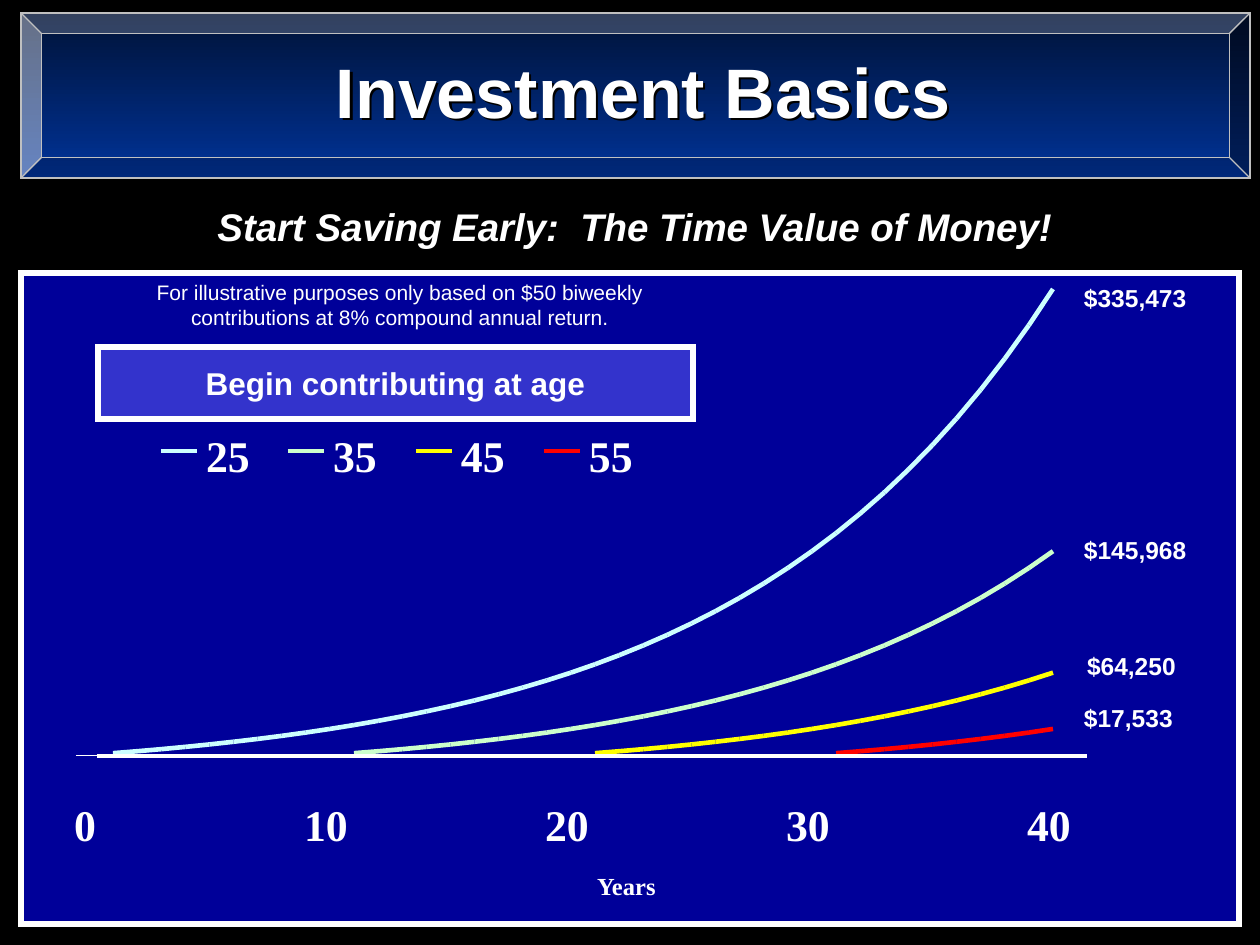
from collections import namedtuple

from lxml import etree
from pptx import Presentation
from pptx.dml.color import RGBColor
from pptx.enum.shapes import MSO_CONNECTOR as Connector, MSO_SHAPE as Shape
from pptx.enum.text import MSO_ANCHOR as Anchor, PP_ALIGN as Align
from pptx.oxml.ns import qn
from pptx.util import Pt

Box = namedtuple("Box", "left top width height")

EMU_PER_PX = 914400 / 126
SANS, SERIF = "Arial", "Times New Roman"
COLORS = {
    "background": "000000", "white": "FFFFFF", "panel": "000099",
    "legend": "3333CC", "banner_top": "001236", "banner_bottom": "003399",
    "banner_edge": "C0C0C0",
    "25": "CCFFFF", "35": "CCFFCC", "45": "FFFF00", "55": "FF0000",
}
AGES = ["25", "35", "45", "55"]
LAST_YEAR = 40
YEARLY_SAVING, RETURN = 50 * 26, 0.08


def px(length):
    return round(length * EMU_PER_PX)


def rgb(name):
    return RGBColor.from_string(COLORS[name])


def add_box(slide, kind, box, fill, line, line_width):
    shape = slide.shapes.add_shape(kind, *map(px, box))
    shape.shadow.inherit = False
    if fill:
        shape.fill.solid()
        shape.fill.fore_color.rgb = rgb(fill)
    shape.line.color.rgb = rgb(line)
    shape.line.width = Pt(line_width)
    # Square corners
    etree.SubElement(shape.line._get_or_add_ln(), qn("a:miter"), lim="800000")
    return shape


def write(shape, text, size, font=SANS, bold=True, italic=False,
          align=Align.CENTER, anchor=Anchor.MIDDLE, inset=True, wrap=True):
    frame = shape.text_frame
    frame.word_wrap = wrap
    frame.vertical_anchor = anchor
    if not inset:
        frame.margin_left = frame.margin_right = 0
        frame.margin_top = frame.margin_bottom = 0
    paragraph = frame.paragraphs[0]
    paragraph.text = text
    paragraph.alignment = align
    paragraph.font.name = font
    paragraph.font.size = Pt(size)
    paragraph.font.bold = bold
    paragraph.font.italic = italic
    paragraph.font.color.rgb = rgb("white")


def add_text(slide, box, text, size, **style):
    textbox = slide.shapes.add_textbox(*map(px, box))
    write(textbox, text, size, **style)
    return textbox


def add_label(slide, box, text, size, font=SANS, align=Align.LEFT):
    add_text(slide, box, text, size, font=font, align=align,
             anchor=Anchor.TOP, inset=False, wrap=False)


def add_line(slide, start, end, color, width):
    line = slide.shapes.add_connector(
        Connector.STRAIGHT, *map(px, (*start, *end)))
    line.line.color.rgb = rgb(color)
    line.line.width = Pt(width)
    etree.SubElement(line._element.spPr, qn("a:effectLst"))


def add_text_shadow(textbox):
    """An unfilled box casts the shadow of its text."""
    effects = etree.SubElement(textbox._element.spPr, qn("a:effectLst"))
    shadow = etree.SubElement(effects, qn("a:outerShdw"),
                              dist=str(px(3)), dir="2700000")
    etree.SubElement(shadow, qn("a:srgbClr"), val=COLORS["background"])


def add_banner(slide, box):
    banner = add_box(slide, Shape.BEVEL, box, None, "banner_edge", 0.75)
    banner.adjustments[0] = 0.125
    banner.fill.gradient()
    banner.fill.gradient_angle = 270
    stops = banner.fill.gradient_stops
    for stop, position, color in zip(stops, (0, 1), ("banner_top", "banner_bottom")):
        stop.position = position
        stop.color.rgb = rgb(color)
    title_box = Box(box.left + 292, box.top + 29, 660, 97)
    add_text_shadow(add_text(slide, title_box, "Investment Basics", 40,
                             anchor=Anchor.TOP))


def add_growth_panel(slide, box):
    add_box(slide, Shape.RECTANGLE, box, "panel", "white", 3)
    left, top = box.left, box.top
    baseline = top + 482
    add_line(slide, (left + 55, baseline), (left + 1045, baseline), "white", 0.25)
    add_curves(slide, Box(left + 92, top + 16, 940, baseline - top - 16))

    # Final balances
    balances = [("$335,473", 1063, 10), ("$145,968", 1063, 262),
                ("$64,250", 1066, 378), ("$17,533", 1063, 430)]
    for text, x, y in balances:
        add_label(slide, Box(left + x, top + y, 130, 29), text, 14)

    # Year axis
    for index, year in enumerate(range(0, LAST_YEAR + 1, 10)):
        add_label(slide, Box(left + 39 + index * 241, top + 525, 50, 53),
                  str(year), 25, SERIF, Align.CENTER)
    add_label(slide, Box(left + 576, top + 598, 80, 29), "Years", 14, SERIF)
    add_line(slide, (left + 76, baseline + 1), (left + 1066, baseline + 1),
             "white", 2.25)

    add_legend(slide, Box(left + 77, top, 595, 210))


def add_curves(slide, box):
    """Each curve has the same growth, starting ten years after the one before."""
    def balance(years):
        return YEARLY_SAVING * ((1 + RETURN) ** years - 1) / RETURN

    def point(year, years_saved):
        x = box.left + box.width * (year - 1) / (LAST_YEAR - 1)
        share = balance(years_saved) / balance(LAST_YEAR)
        return x, box.top + box.height * (1 - share)

    for index, age in enumerate(AGES):
        delay = 10 * index
        for year in range(delay + 1, LAST_YEAR):
            add_line(slide, point(year, year - delay),
                     point(year + 1, year + 1 - delay), age, 2.64)


def add_legend(slide, box):
    left, top = box.left, box.top
    add_text(slide, Box(left + 16, top + 1, 572, 62),
             "For illustrative purposes only based on $50 biweekly "
             "contributions at 8% compound annual return.", 12, bold=False)
    heading = add_box(slide, Shape.RECTANGLE, Box(left, top + 74, box.width, 72),
                      "legend", "white", 3)
    write(heading, "Begin contributing at age", 18)
    for index, age in enumerate(AGES):
        x = left + 63 + index * 383 // 3
        add_line(slide, (x, top + 178), (x + 36, top + 178), age, 2.64)
        add_label(slide, Box(x + 45, top + 156, 55, 53), age, 25, SERIF)


def main():
    presentation = Presentation()
    presentation.slide_width, presentation.slide_height = px(1260), px(945)
    slide = presentation.slides.add_slide(presentation.slide_layouts[6])
    slide.background.fill.solid()
    slide.background.fill.fore_color.rgb = rgb("background")

    add_banner(slide, Box(21, 13, 1229, 165))
    add_text(slide, Box(63, 190, 1144, 73),
             "Start Saving Early:  The Time Value of Money!", 22, italic=True)
    add_growth_panel(slide, Box(21, 273, 1218, 651))
    presentation.save("out.pptx")


if __name__ == "__main__":
    main()
